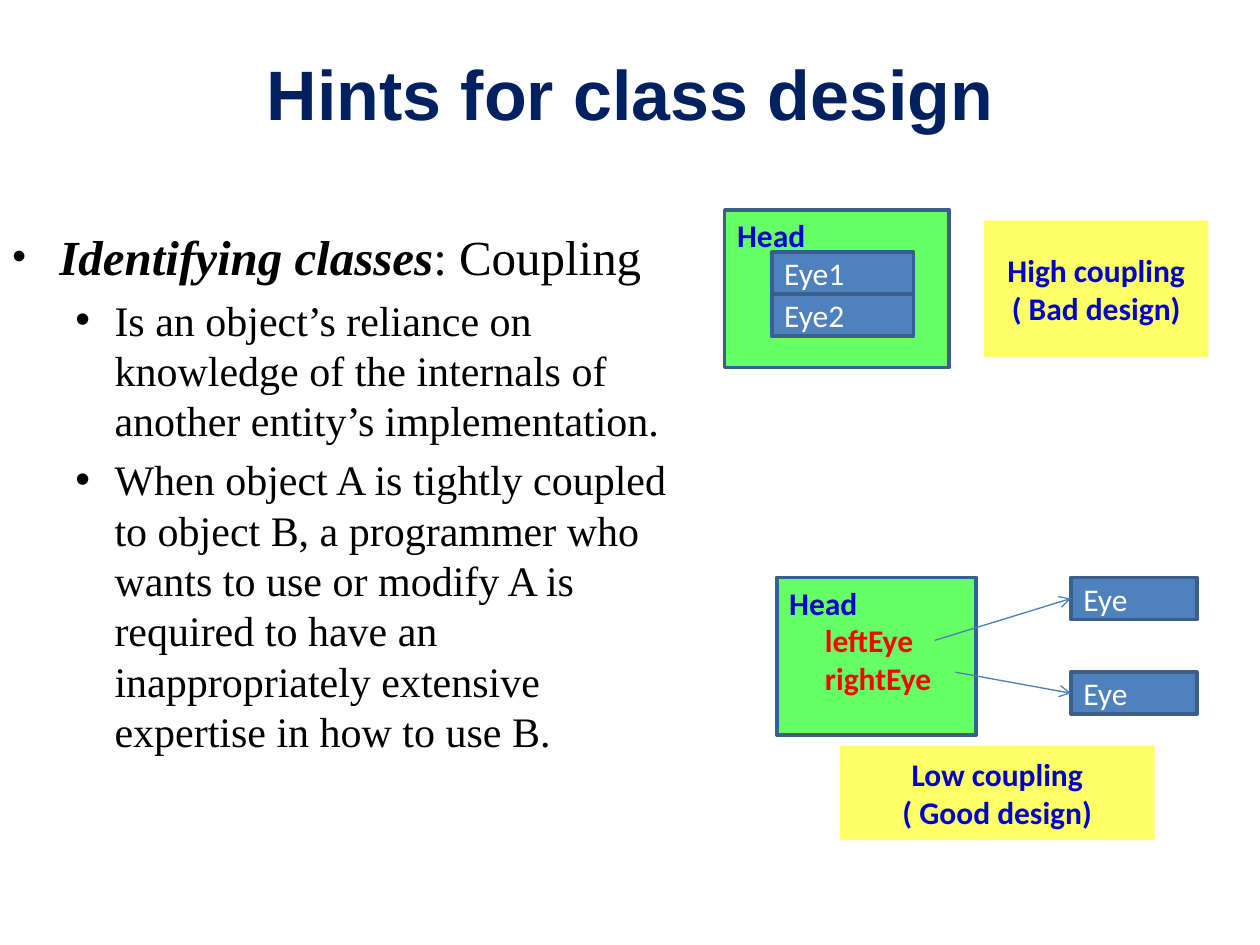
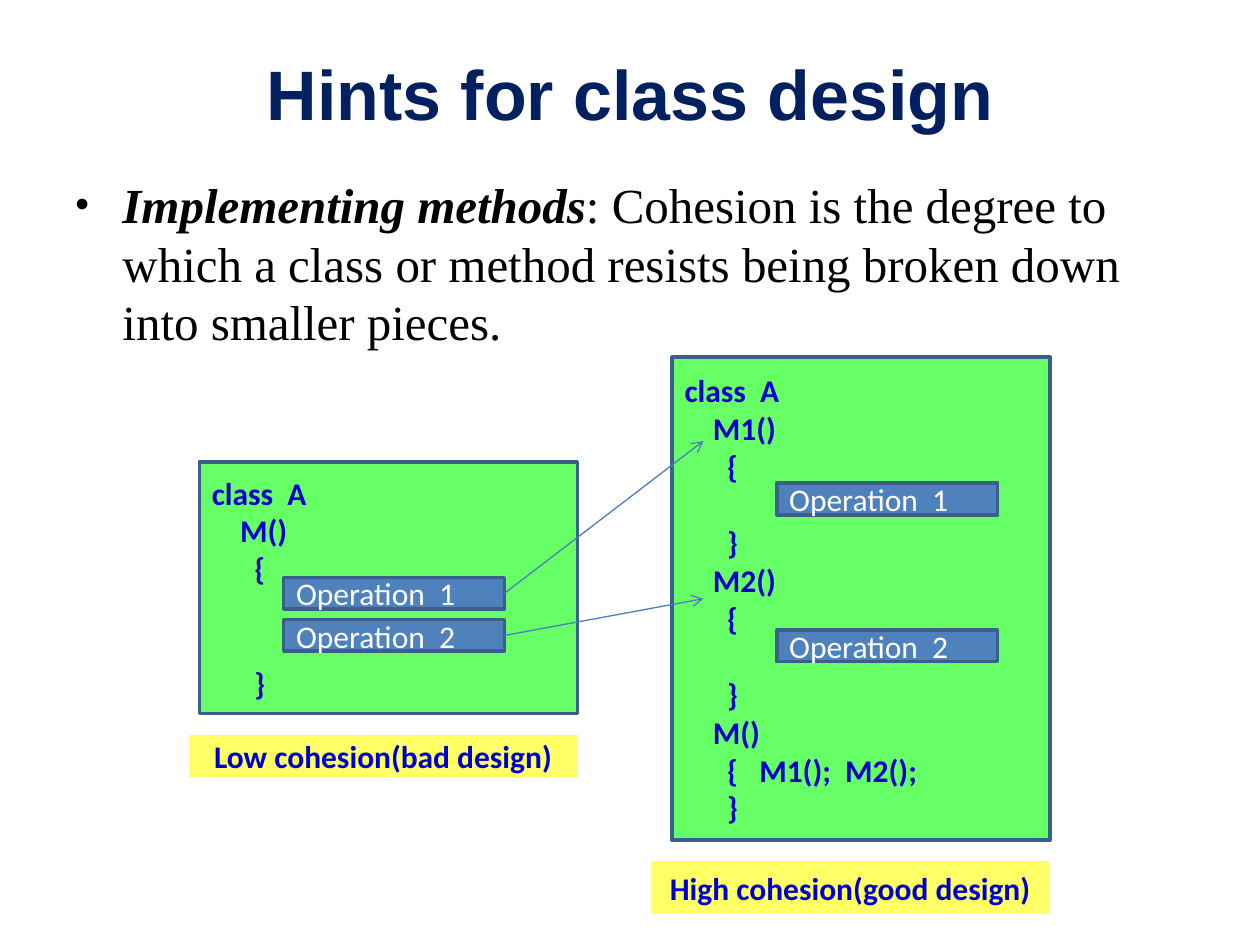
"""Two slides with hints for class design: coupling and cohesion."""
from dataclasses import dataclass

from lxml import etree
from pptx import Presentation
from pptx import util as u
from pptx.dml.color import RGBColor
from pptx.enum import shapes as kinds, text as t
from pptx.oxml.ns import qn

Cm, Pt = u.Cm, u.Pt


@dataclass(frozen=True)
class Theme:
    """Colours, fonts and sizes shared by the slides."""
    title: str = "002060"
    body: str = "000000"
    card: str = "66FF66"
    member: str = "4F81BD"
    border: str = "3A5F8C"
    label: str = "FFFF66"
    code: str = "0000CC"
    accent: str = "FF0000"
    light: str = "FFFFFF"
    arrow: str = "4B7EBC"
    title_font: str = "Arial"
    body_font: str = "Times New Roman"
    box_font: str = "Calibri"
    title_size: int = 40
    body_sizes: tuple = (28, 24)
    box_size: int = 18
    line_height: float = 22  # points taken by one line of box text


THEME = Theme()
# Left margin and hanging indent (cm), and bullet size (%), by level
BULLETS = ((0.95, -0.95, 80), (2.06, -0.79, 100))
EYE_HEIGHT = 0.85
OPERATION = (4.45, 0.64)


def apply(target, **values):
    """Set each named attribute on the target."""
    for name, value in values.items():
        setattr(target, name, value)


def add_run(paragraph, words, font, size, colour, **styles):
    """Append a formatted run to a paragraph."""
    run = paragraph.add_run()
    run.text = words
    apply(run.font, name=font, size=Pt(size), **styles)
    run.font.color.rgb = RGBColor.from_string(colour)


def paragraphs(frame, count):
    """Return the given number of paragraphs in an empty text frame."""
    return [frame.paragraphs[0]] + [frame.add_paragraph() for _ in range(count - 1)]


def set_indent(paragraph, left, first=0.0):
    """Set the left margin and first line indent in centimetres."""
    properties = paragraph._p.get_or_add_pPr()
    properties.set("marL", str(Cm(left)))
    properties.set("indent", str(Cm(first)))
    return properties


def add_text_box(slide, place, anchor):
    """Add a wrapping text box and return its text frame."""
    frame = slide.shapes.add_textbox(*map(Cm, place)).text_frame
    apply(frame, word_wrap=True, vertical_anchor=anchor)
    return frame


def add_title(slide, words):
    """Add the centred slide title."""
    frame = add_text_box(slide, (1.27, 0.76, 22.86, 2.21), t.MSO_ANCHOR.MIDDLE)
    heading = frame.paragraphs[0]
    heading.alignment = t.PP_ALIGN.CENTER
    add_run(heading, words, THEME.title_font, THEME.title_size, THEME.title, bold=True)


def add_bullets(slide, place, items):
    """Add bullets from (level, emphasised words, plain words) items."""
    frame = add_text_box(slide, place, t.MSO_ANCHOR.TOP)
    for bullet, (level, emphasis, plain) in zip(paragraphs(frame, len(items)), items):
        size = THEME.body_sizes[level]
        left, first, percent = BULLETS[level]
        apply(bullet, level=level, space_before=Pt(size * 0.2))
        properties = set_indent(bullet, left, first)
        colour = etree.SubElement(properties, qn("a:buClr"))
        etree.SubElement(colour, qn("a:srgbClr"), val=THEME.body)
        etree.SubElement(properties, qn("a:buSzPct"), val=str(percent * 1000))
        etree.SubElement(properties, qn("a:buFont"), typeface="Arial")
        etree.SubElement(properties, qn("a:buChar"), char="•")
        for words, strong in ((emphasis, True), (plain, False)):
            if words:
                add_run(bullet, words, THEME.body_font, size, THEME.body,
                        bold=strong, italic=strong)


def add_box(shapes, place, fill, border=None, anchor=t.MSO_ANCHOR.MIDDLE):
    """Add a filled rectangle and return its text frame."""
    box = shapes.add_shape(kinds.MSO_SHAPE.RECTANGLE, *map(Cm, place))
    box.shadow.inherit = False
    box.fill.solid()
    box.fill.fore_color.rgb = RGBColor.from_string(fill)
    if border:
        box.line.color.rgb = RGBColor.from_string(border)
        box.line.width = Pt(2)
    else:
        box.line.fill.background()
    apply(box.text_frame, word_wrap=True, vertical_anchor=anchor)
    return box.text_frame


def add_card(shapes, place, lines, anchor=t.MSO_ANCHOR.MIDDLE):
    """Add a class card from (words, indent, empty lines above, colour) lines."""
    frame = add_box(shapes, place, THEME.card, THEME.border, anchor)
    for row, (words, indent, gap, colour) in zip(paragraphs(frame, len(lines)), lines):
        apply(row, alignment=t.PP_ALIGN.LEFT, space_before=Pt(gap * THEME.line_height))
        set_indent(row, indent)
        add_run(row, words, THEME.box_font, THEME.box_size, colour, bold=True)


def add_member(shapes, place, words):
    """Add a blue box for a member of a class, with light text."""
    row = add_box(shapes, place, THEME.member, THEME.border).paragraphs[0]
    row.alignment = t.PP_ALIGN.LEFT
    add_run(row, words, THEME.box_font, THEME.box_size, THEME.light)


def add_label(shapes, place, *lines):
    """Add a yellow verdict label with centred lines."""
    frame = add_box(shapes, place, THEME.label)
    for row, words in zip(paragraphs(frame, len(lines)), lines):
        row.alignment = t.PP_ALIGN.CENTER
        add_run(row, words, THEME.box_font, THEME.box_size, THEME.code, bold=True)


def add_arrow(shapes, start, end):
    """Add a thin arrow between two points."""
    arrow = shapes.add_connector(kinds.MSO_CONNECTOR.STRAIGHT, *map(Cm, start + end))
    arrow.line.color.rgb = RGBColor.from_string(THEME.arrow)
    arrow.line.width = Pt(0.75)
    properties = arrow._element.spPr
    etree.SubElement(properties.find(qn("a:ln")), qn("a:tailEnd"), type="arrow")
    etree.SubElement(properties, qn("a:effectLst"))


def code(words, depth=0, gap=0):
    """Describe a code line: depth 1 is a method, depth 2 a brace."""
    return words, (0, 0.57, 0.86)[depth], gap, THEME.code


def new_slide(deck):
    """Add a blank slide with the shared title."""
    slide = deck.slides.add_slide(deck.slide_layouts[6])
    add_title(slide, "Hints for class design")
    return slide


def build_coupling(deck):
    """Build the slide on coupling."""
    slide = new_slide(deck)
    add_bullets(slide, (0, 4.45, 13.97, 11.43), [
        (0, "Identifying classes", ": Coupling"),
        (1, "", "Is an object’s reliance on knowledge of the internals of "
                "another entity’s implementation."),
        (1, "", "When object A is tightly coupled to object B, a programmer who "
                "wants to use or modify A is required to have an inappropriately "
                "extensive expertise in how to use B."),
    ])

    high = slide.shapes.add_group_shape().shapes
    add_card(high, (14.61, 4.23, 4.52, 3.18), [code("Head")], t.MSO_ANCHOR.TOP)
    for index, eye in enumerate(("Eye1", "Eye2")):
        add_member(high, (15.56, 5.08 + index * EYE_HEIGHT, 2.86, EYE_HEIGHT), eye)
    add_label(high, (19.84, 4.45, 4.52, 2.75), "High coupling", "( Bad design)")

    low = slide.shapes.add_group_shape().shapes
    fields = [(name, 0.72, 0, THEME.accent) for name in ("leftEye", "rightEye")]
    add_card(low, (15.66, 11.64, 4.02, 3.18), [code("Head"), *fields], t.MSO_ANCHOR.TOP)
    add_label(low, (16.93, 15.03, 6.35, 1.91), "Low coupling", "( Good design)")
    eye_left = 21.59
    for eye_top, field in ((11.64, (18.84, 12.91)), (13.55, (19.26, 13.55))):
        add_member(low, (eye_left, eye_top, 2.54, EYE_HEIGHT), "Eye")
        add_arrow(low, field, (eye_left, eye_top + EYE_HEIGHT / 2))


def build_cohesion(deck):
    """Build the slide on cohesion."""
    slide = new_slide(deck)
    add_bullets(slide, (1.27, 3.39, 22.86, 4.87), [
        (0, "Implementing methods", ": Cohesion is the degree to which a class or "
                                    "method resists being broken down into smaller pieces."),
    ])

    cohesion = slide.shapes.add_group_shape().shapes
    add_card(cohesion, (4.02, 9.31, 7.62, 5.08), [
        code("class  A"), code("M()", 1), code("{", 2), code("}", 2, gap=2)])
    split_methods = [line for method in ("M1()", "M2()")
                     for line in (code(method, 1), code("{", 2), code("}", 2, gap=1))]
    add_card(cohesion, (13.55, 7.2, 7.62, 9.74), [
        code("class  A"), *split_methods,
        code("M()", 1), code("{   M1();  M2();", 2), code("}", 2)])
    add_label(cohesion, (3.81, 14.82, 7.83, 0.85), "Low cohesion(bad design)")
    add_label(cohesion, (13.12, 17.36, 8.04, 1.06), "High cohesion(good design)")

    width, height = OPERATION
    joint_left, split_left = 5.72, 15.66
    moves = ((11.64, 9.74, 8.89), (12.49, 12.7, 12.07))
    for number, (joint_top, split_top, method_y) in enumerate(moves, 1):
        for left, top in ((joint_left, joint_top), (split_left, split_top)):
            add_member(cohesion, (left, top, width, height), f"Operation  {number}")
        add_arrow(slide.shapes, (joint_left + width, joint_top + height / 2),
                  (14.18, method_y))


def main():
    """Build and save the deck."""
    deck = Presentation()
    apply(deck, slide_width=Cm(25.4), slide_height=Cm(19.05))
    build_coupling(deck)
    build_cohesion(deck)
    deck.save("out.pptx")


main()
